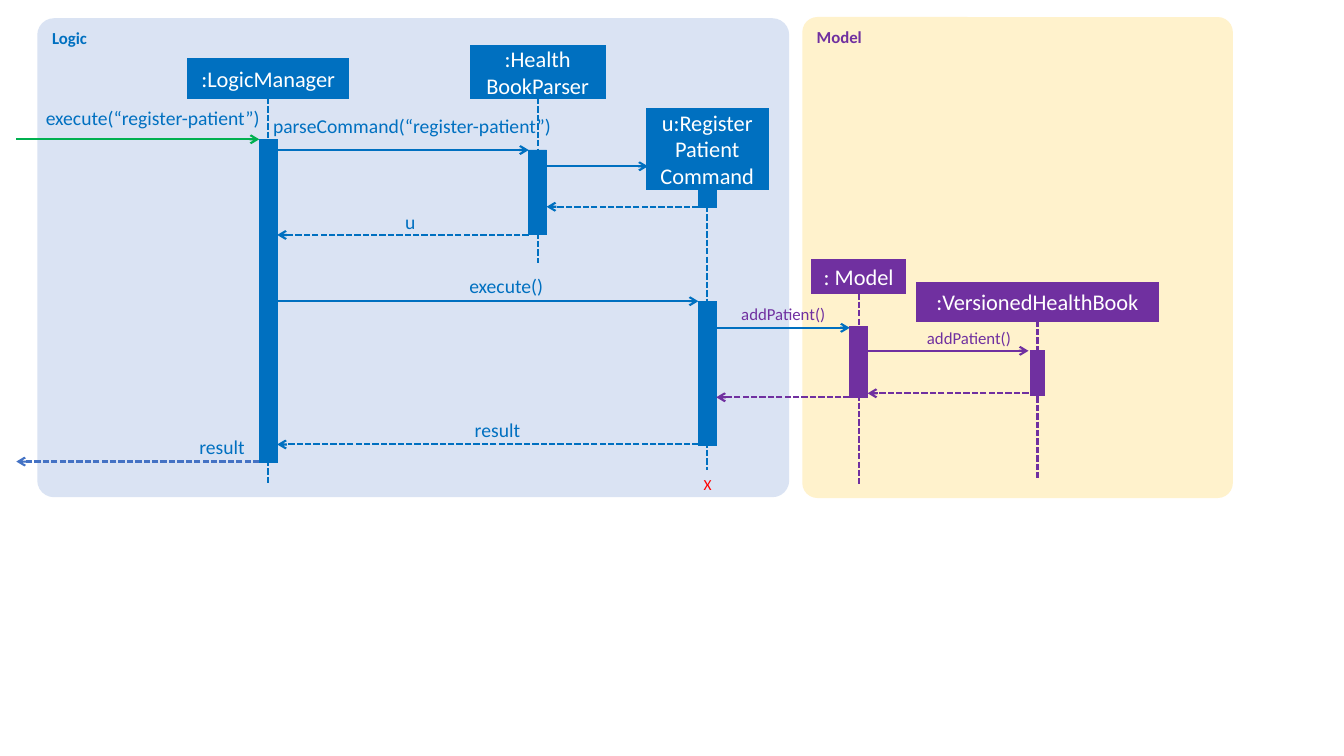
from dataclasses import dataclass

import pptx
import pptx.dml.color
import pptx.enum.dml
import pptx.enum.shapes
import pptx.enum.text
import pptx.oxml
import pptx.oxml.ns
import pptx.util

Cm = pptx.util.Cm
Pt = pptx.util.Pt
SHAPE = pptx.enum.shapes.MSO_SHAPE
ALIGN = pptx.enum.text.PP_ALIGN
ANCHOR = pptx.enum.text.MSO_ANCHOR


@dataclass(frozen=True)
class Theme:
    font: str = "Calibri"
    logic: str = "0070C0"
    logic_panel: str = "DAE3F3"
    model: str = "7030A0"
    model_panel: str = "FFF2CC"
    call_in: str = "00B050"
    call_out: str = "4472C4"
    destroyed: str = "FF0000"
    white: str = "FFFFFF"
    head_size: int = 16
    label_size: int = 14
    small_size: int = 12
    cross_size: int = 11
    line: float = 1.5
    thin_line: float = 0.5


def rgb(color):
    return pptx.dml.color.RGBColor.from_string(color)


def element(tag, attributes=""):
    return pptx.oxml.parse_xml(
        f'<a:{tag} {pptx.oxml.ns.nsdecls("a")} {attributes}/>')


def write(tf, text, *, font, size, color, bold=False, align=ALIGN.LEFT,
          anchor=ANCHOR.TOP, wrap=True, margin=None):
    tf.word_wrap = wrap
    tf.vertical_anchor = anchor
    if margin is not None:
        tf.margin_left = tf.margin_right = Cm(margin)
        tf.margin_top = tf.margin_bottom = Cm(margin)
    for i, line in enumerate(text.split("\n")):
        p = tf.add_paragraph() if i else tf.paragraphs[0]
        p.alignment = align
        r = p.add_run()
        r.text = line
        r.font.name = font
        r.font.size = Pt(size)
        r.font.bold = bold
        r.font.color.rgb = rgb(color)


class SequenceDiagram:
    bar_width = 0.45

    def __init__(self, s, theme):
        self.s = s
        self.theme = theme
        self.centers = {}

    def shape(self, kind, left, top, width, height, fill, line=None):
        sp = self.s.shapes.add_shape(kind, Cm(left), Cm(top), Cm(width), Cm(height))
        sp.shadow.inherit = False
        sp.fill.solid()
        sp.fill.fore_color.rgb = rgb(fill)
        if line is None:
            sp.line.fill.background()
        else:
            sp.line.color.rgb = rgb(fill)
            sp.line.width = Pt(line)
            sp.line._get_or_add_ln().append(element("miter", 'lim="800000"'))
        return sp

    def line(self, x1, y1, x2, y2, color, dashed=False, arrow=False):
        straight = pptx.enum.shapes.MSO_CONNECTOR.STRAIGHT
        sp = self.s.shapes.add_connector(straight, Cm(x1), Cm(y1), Cm(x2), Cm(y2))
        sp.line.color.rgb = rgb(color)
        sp.line.width = Pt(self.theme.line)
        if dashed:
            sp.line.dash_style = pptx.enum.dml.MSO_LINE.SQUARE_DOT
        if arrow:
            sp.line._get_or_add_ln().append(element("tailEnd", 'type="arrow"'))
        sp._element.spPr.append(element("effectLst"))
        return sp

    def panel(self, title, left, top, width, height, fill, color):
        sp = self.shape(SHAPE.ROUNDED_RECTANGLE, left, top, width, height, fill)
        sp.adjustments[0] = 0.035
        write(sp.text_frame, title, font=self.theme.font,
              size=self.theme.small_size, color=color, bold=True)

    def participant(self, name, text, left, top, width, height, end, color,
                    bars, bar_width=bar_width):
        center = left + width / 2
        self.centers[name] = center
        head = self.shape(SHAPE.RECTANGLE, left, top, width, height, color,
                          self.theme.line)
        write(head.text_frame, text, font=self.theme.font,
              size=self.theme.head_size, color=self.theme.white,
              align=ALIGN.CENTER, anchor=ANCHOR.MIDDLE)
        lifeline = self.line(center, top + height, center, end, color, dashed=True)
        lifeline.begin_connect(head, 2)
        for bar_top, bar_height in bars:
            self.shape(SHAPE.RECTANGLE, center - bar_width / 2, bar_top,
                       bar_width, bar_height, color, self.theme.thin_line)

    def message(self, sender, receiver, y, color, reply=False, end=None):
        x1 = self.centers.get(sender, 0.41)
        x2 = self.centers.get(receiver, 0.41)
        step = self.bar_width / 2 if x2 > x1 else -self.bar_width / 2
        if sender in self.centers:
            x1 += step
        if receiver in self.centers:
            x2 -= step
        self.line(x1, y, x2 if end is None else end, y, color,
                  dashed=reply, arrow=True)

    def label(self, text, left, top, width, height, size, color, **style):
        sp = self.s.shapes.add_textbox(Cm(left), Cm(top), Cm(width), Cm(height))
        style = {"align": ALIGN.RIGHT, "margin": 0} | style
        write(sp.text_frame, text, font=self.theme.font, size=size,
              color=color, **style)
        sp.text_frame.auto_size = pptx.enum.text.MSO_AUTO_SIZE.SHAPE_TO_FIT_TEXT


def main():
    prs = pptx.Presentation()
    prs.slide_width, prs.slide_height = Cm(33.87), Cm(19.05)
    s = prs.slides.add_slide(prs.slide_layouts[6])
    t = Theme()
    d = SequenceDiagram(s, t)

    d.panel("Model", 20.22, 0.43, 10.85, 12.12, t.model_panel, t.model)
    d.panel("Logic", 0.94, 0.46, 18.95, 12.07, t.logic_panel, t.logic)

    d.participant("manager", ":LogicManager", 4.74, 1.5, 4.04, 0.97, 12.19,
                  t.logic, [(3.51, 8.15)])
    d.participant("parser", ":Health\nBookParser", 11.86, 1.17, 3.38, 1.3, 6.63,
                  t.logic, [(3.78, 2.13)])
    d.participant("command", "u:Register\nPatient\nCommand", 16.3, 2.74, 3.05, 2.03,
                  11.84, t.logic, [(4.77, 0.46), (7.59, 3.63)])
    d.participant("model", ": Model", 20.47, 6.55, 2.34, 0.84, 12.19,
                  t.model, [(8.23, 1.78)])
    d.participant("book", ":VersionedHealthBook", 23.11, 7.14, 6.07, 0.94, 12.07,
                  t.model, [(8.84, 1.12)], bar_width=0.36)

    d.message("caller", "manager", 3.51, t.call_in)
    d.message("manager", "parser", 3.78, t.logic)
    d.message("parser", "command", 4.19, t.logic, end=16.33)
    d.message("command", "parser", 5.21, t.logic, reply=True)
    d.message("parser", "manager", 5.92, t.logic, reply=True)
    d.message("manager", "command", 7.59, t.logic)
    d.message("command", "model", 8.26, t.logic)
    d.message("model", "book", 8.84, t.model)
    d.message("book", "model", 9.91, t.model, reply=True)
    d.message("model", "command", 10.01, t.model, reply=True)
    d.message("command", "manager", 11.2, t.logic, reply=True)
    d.message("manager", "caller", 11.63, t.call_out, reply=True)

    for text, left, top, width in [
        ("execute(“register-patient”)", 0.76, 2.67, 5.79),
        ("parseCommand(“register-patient”)", 6.17, 2.87, 7.72),
        ("u", 9.86, 5.28, 0.61),
        ("execute()", 11.3, 6.91, 2.39),
        ("result", 11.38, 10.54, 1.73),
        ("result", 4.06, 10.97, 2.11),
    ]:
        d.label(text, left, top, width, 0.61, t.label_size, t.logic)
    for left, top, width in [(18.34, 7.65, 2.46), (23.24, 8.26, 2.24)]:
        d.label("addPatient()", left, top, width, 0.51, t.small_size, t.model)
    d.label("X", 17.48, 11.84, 0.71, 0.74, t.cross_size, t.destroyed,
            align=ALIGN.LEFT, wrap=False, margin=None)

    prs.save("out.pptx")


if __name__ == "__main__":
    main()
